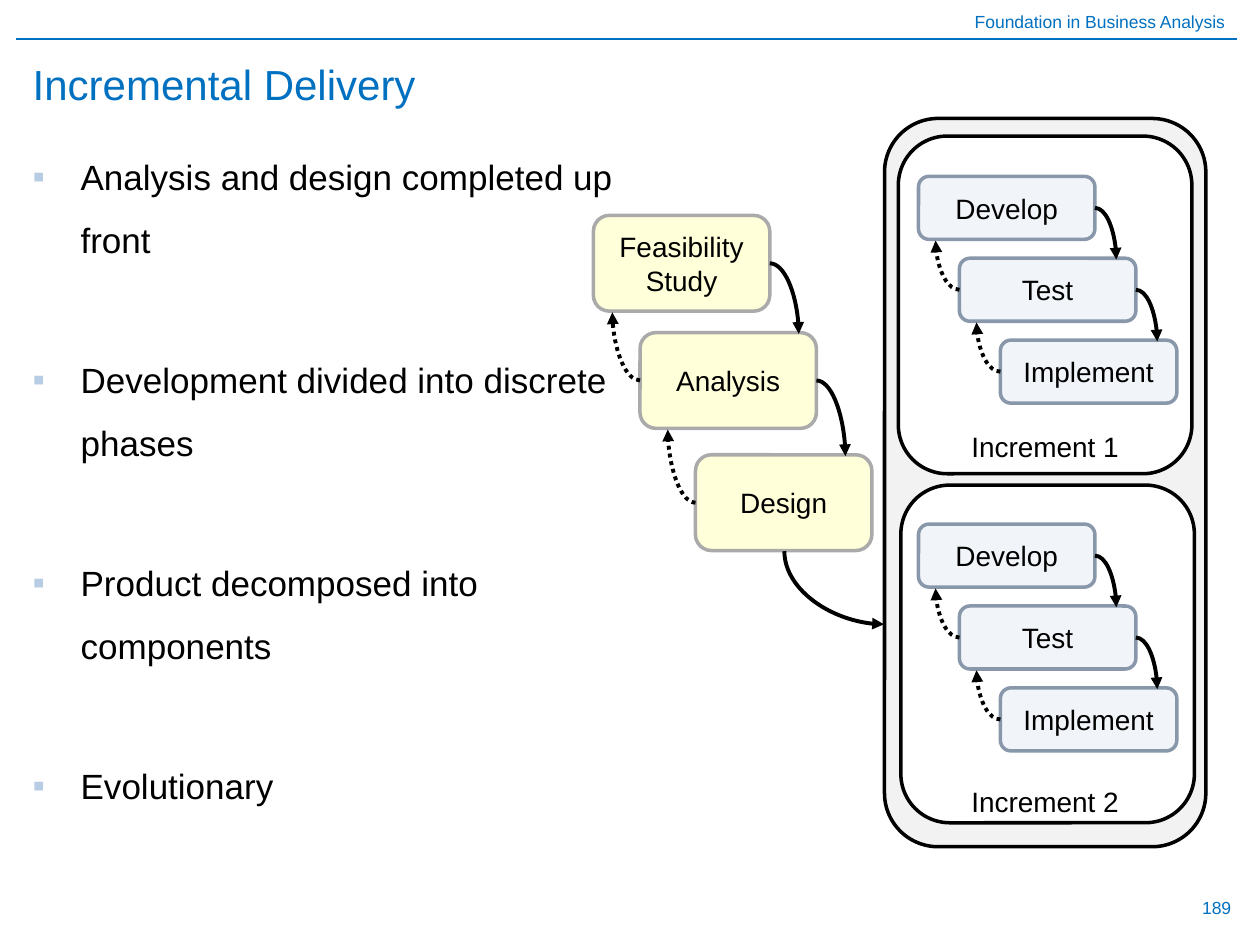
from lxml.etree import SubElement
from pptx import Presentation
from pptx.dml.color import RGBColor
from pptx.enum.dml import MSO_LINE
from pptx.enum.shapes import MSO_CONNECTOR, MSO_SHAPE
from pptx.enum.text import MSO_ANCHOR, MSO_AUTO_SIZE, PP_ALIGN
from pptx.oxml.ns import qn
from pptx.util import Inches, Pt

BLACK = RGBColor(0x00, 0x00, 0x00)
WHITE = RGBColor(0xFF, 0xFF, 0xFF)
BLUE = RGBColor(0x00, 0x70, 0xC0)
PANEL = RGBColor(0xF2, 0xF2, 0xF2)
CREAM = RGBColor(0xFF, 0xFF, 0xD9)
GRAY = RGBColor(0xAA, 0xAA, 0xAA)
PALE = RGBColor(0xF1, 0xF5, 0xFA)
SLATE = RGBColor(0x88, 0x97, 0xA9)

STAGE_WIDTH = 1.4
EARLY_HEIGHT = 0.76
BUILD_HEIGHT = 0.5
BUILD_STEP = (0.325, 0.65)
ARROW_GAP = 0.01

BULLETS = (
    "Analysis and design completed up front",
    "Development divided into discrete phases",
    "Product decomposed into components",
    "Evolutionary",
)
EARLY_STAGES = (("Feasibility Study", 4.71, 1.71), ("Analysis", 5.08, 2.64), ("Design", 5.52, 3.61))
BUILD_STAGES = ("Develop", "Test", "Implement")
INCREMENTS = (
    ("Increment 1", (7.13, 1.08, 2.33, 2.68), 1.4, 3.29),
    ("Increment 2", (7.15, 3.85, 2.33, 2.68), 4.16, 6.11),
)


def apply(target, values):
    """Set every attribute named in a dict."""
    for name, value in values.items():
        setattr(target, name, value)


def format_font(font, size, color):
    """Give a font its face, size and colour."""
    apply(font, {"name": "Arial", "size": Pt(size)})
    font.color.rgb = color


def place(shape, box):
    """Move a shape to a box given in inches."""
    apply(shape, dict(zip(("left", "top", "width", "height"), map(Inches, box))))


def write(shape, text, size, color, alignment, anchor=MSO_ANCHOR.MIDDLE):
    """Write one formatted paragraph in a shape."""
    apply(shape.text_frame, {"word_wrap": True, "auto_size": MSO_AUTO_SIZE.NONE, "vertical_anchor": anchor})
    paragraph = shape.text_frame.paragraphs[0]
    apply(paragraph, {"text": text, "alignment": alignment})
    format_font(paragraph.font, size, color)


def add_label(slide, box, text, **options):
    """Add blue, right-aligned small print."""
    shape = slide.shapes.add_textbox(*map(Inches, box))
    write(shape, text, 10, BLUE, PP_ALIGN.RIGHT, **options)
    return shape


def add_rounded(slide, box, fill=None, line=None, text=None):
    """Add a rounded rectangle, plain or with centred text."""
    shape = slide.shapes.add_shape(MSO_SHAPE.ROUNDED_RECTANGLE, *map(Inches, box))
    shape.shadow.inherit = False
    if fill is None:
        shape.fill.background()
        shape.line.fill.background()
    else:
        shape.fill.solid()
        shape.fill.fore_color.rgb = fill
        shape.line.color.rgb = line
        shape.line.width = Pt(2)
    if text:
        write(shape, text, 16, BLACK, PP_ALIGN.CENTER)
    return shape


def add_line(slide, kind, start, end, color, width):
    """Add a connector without a shadow."""
    connector = slide.shapes.add_connector(kind, *map(Inches, start + end))
    connector.line.color.rgb = color
    connector.line.width = Pt(width)
    SubElement(connector._element.spPr, qn("a:effectLst"))
    return connector


def add_arrow(slide, start, end, dotted=False, rotation=0):
    """Add a quarter-curve arrow."""
    connector = add_line(slide, MSO_CONNECTOR.CURVE, start, end, BLACK, 2.25)
    if dotted:
        connector.line.dash_style = MSO_LINE.ROUND_DOT
    properties = connector._element.spPr
    properties.find(qn("a:prstGeom")).set("prst", "curvedConnector2")
    if rotation:
        properties.find(qn("a:xfrm")).set("rot", str(rotation * 60000))
    SubElement(properties.find(qn("a:ln")), qn("a:tailEnd"), type="triangle")


def add_cascade(slide, stages, height, fill, line, reach):
    """Add stepped stages with solid arrows onward and dotted arrows back."""
    for text, left, top in stages:
        add_rounded(slide, (left, top, STAGE_WIDTH, height), fill, line, text)
    onward, back = reach
    for (_, left, top), (_, next_left, next_top) in zip(stages, stages[1:]):
        right = left + STAGE_WIDTH
        add_arrow(slide, (right, top + height / 2), (right + onward, next_top + ARROW_GAP))
        add_arrow(slide, (next_left, next_top + height / 2),
                  (next_left - back, top + height + ARROW_GAP), dotted=True)


def add_increment(slide, name, frame, top, label_top):
    """Add one framed increment with its build stages."""
    add_rounded(slide, frame, WHITE, BLACK)
    across, down = BUILD_STEP
    stages = [(text, 7.29 + across * index, top + down * index) for index, text in enumerate(BUILD_STAGES)]
    add_cascade(slide, stages, BUILD_HEIGHT, PALE, SLATE, (0.17, 0.19))
    add_rounded(slide, (7.41, label_top, 1.77, 0.5), text=name)


def fill_body(body):
    """Fill the body placeholder with square-bulleted items."""
    place(body, (0.16, 1.02, 4.99, 6.33))
    frame = body.text_frame
    apply(frame, {"auto_size": MSO_AUTO_SIZE.NONE, "vertical_anchor": MSO_ANCHOR.TOP})
    frame.text = "\n".join(BULLETS)
    for index, paragraph in enumerate(frame.paragraphs):
        properties = paragraph._p.get_or_add_pPr()
        properties.set("marL", str(Inches(0.38)))
        properties.set("indent", str(-Inches(0.38)))
        color = SubElement(properties, qn("a:buClr"))
        SubElement(color, qn("a:srgbClr"), val="B8CCE4")
        SubElement(properties, qn("a:buFont"), typeface="Arial")
        SubElement(properties, qn("a:buChar"), char="▪")
        apply(paragraph, {"line_spacing": 1.5, "space_before": Pt(44 if index else 0)})
        format_font(paragraph.font, 20, BLACK)


def main():
    """Build the slide and save it."""
    presentation = Presentation()
    apply(presentation, {"slide_width": Inches(10), "slide_height": Inches(7.5)})
    slide = presentation.slides.add_slide(presentation.slide_layouts[1])
    title, body = slide.placeholders
    place(title, (0.16, 0.39, 9.61, 0.55))
    write(title, "Incremental Delivery", 24, BLUE, PP_ALIGN.LEFT)
    fill_body(body)
    header = add_label(slide, (0, 0.04, 10, 0.27), "Foundation in Business Analysis", anchor=MSO_ANCHOR.TOP)
    header.text_frame.margin_right = Inches(0.28)
    add_line(slide, MSO_CONNECTOR.STRAIGHT, (0.13, 0.31), (9.82, 0.31), BLUE, 0.75)
    add_label(slide, (7.54, 7, 2.33, 0.4), "189")
    add_rounded(slide, (7.02, 0.94, 2.55, 5.78), PANEL, BLACK)
    add_cascade(slide, EARLY_STAGES, EARLY_HEIGHT, CREAM, GRAY, (0.23, 0.22))
    for increment in INCREMENTS:
        add_increment(slide, *increment)
    add_arrow(slide, (6.91, 4.27), (6.33, 5.06), rotation=270)
    presentation.save("out.pptx")


if __name__ == "__main__":
    main()
